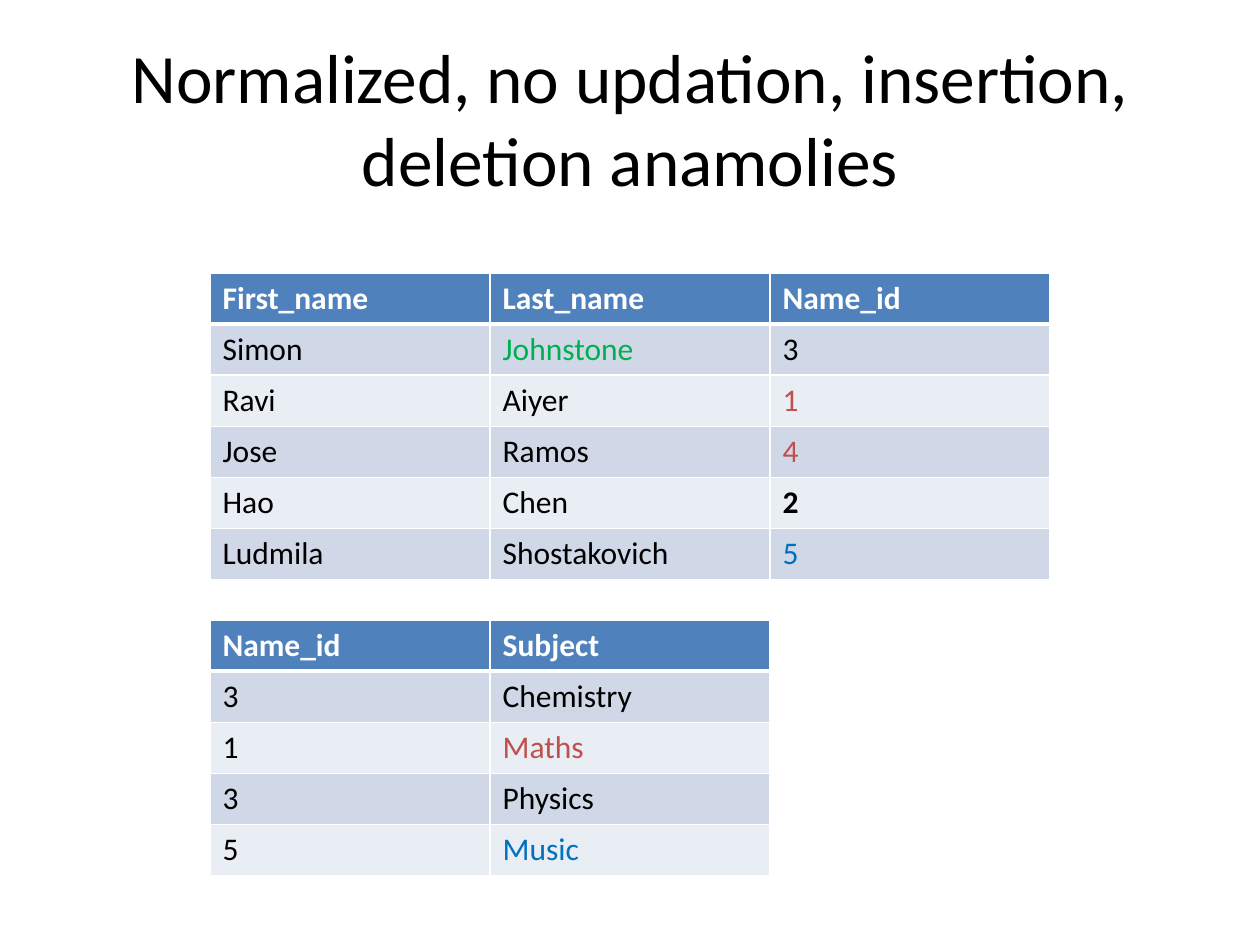
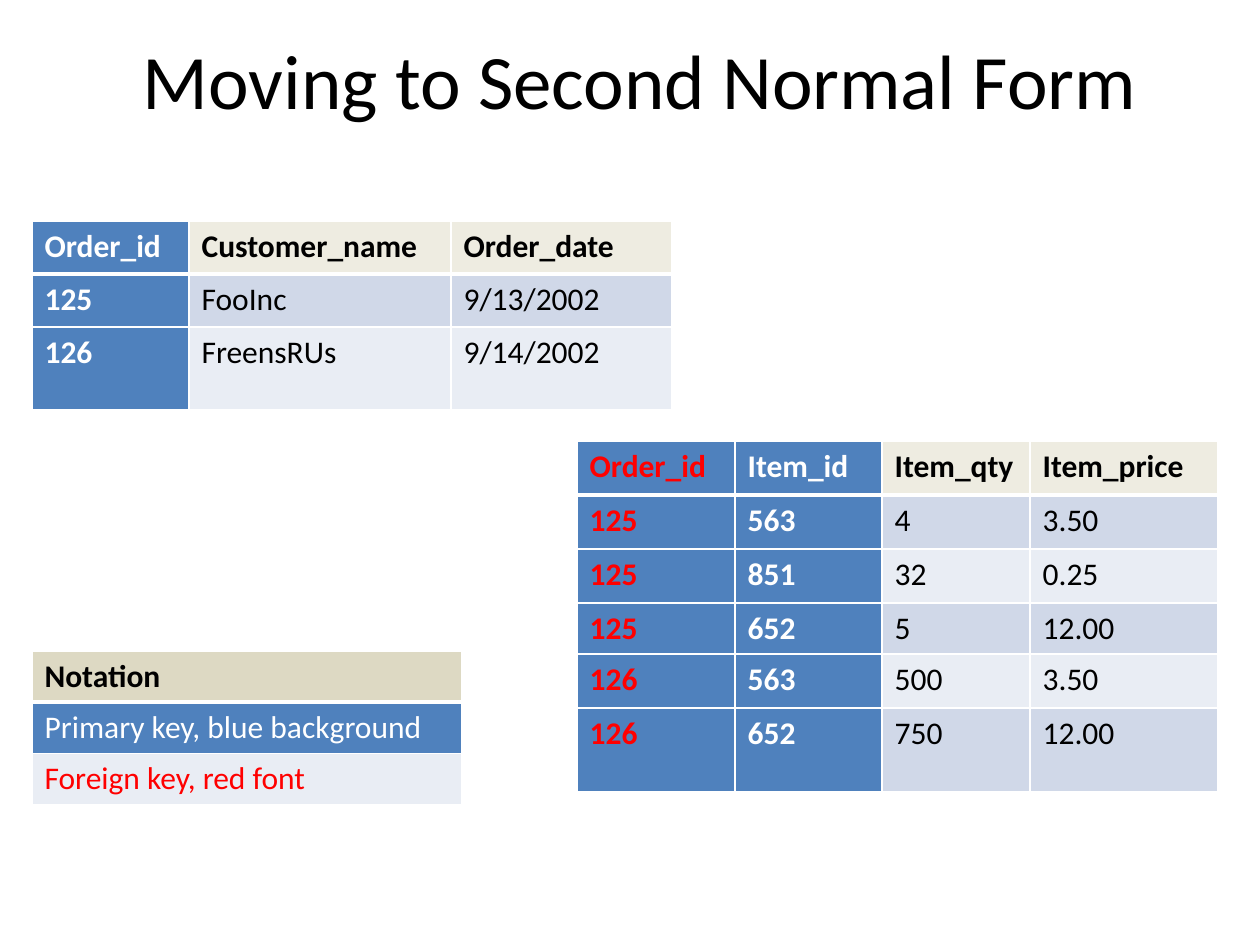
"""Build two slides on database normalization with styled tables."""
from lxml import etree
from pptx import Presentation
from pptx import util as u
from pptx.dml.color import RGBColor
from pptx.enum import text
from pptx.oxml import ns

PX = 914400 // 126 + 1
FONT = "Calibri"
BLACK, WHITE, RED = "000000", "FFFFFF", "FF0000"
BLUE, ROSE, GREEN, SKY = "4F81BD", "C0504D", "00B050", "0070C0"
BANDS = ["E9EDF4", "D0D8E8"]
CREAM, TAN = "EEECE1", "DDD9C3"


def write(frame, words, size, ink, bold=False):
    run = frame.paragraphs[0].add_run()
    run.text = words
    run.font.name = FONT
    run.font.size = u.Pt(size)
    run.font.bold = bold
    run.font.color.rgb = RGBColor.from_string(ink)


def add_grid(slide, left, top, widths, heights, rows, header=BLUE, keys=0,
             inks={}, blue_cells=(), bold_cells=()):
    grid = slide.shapes.add_table(
        len(rows), len(widths), left * PX, top * PX,
        sum(widths) * PX, sum(heights) * PX).table
    for column, width in zip(grid.columns, widths):
        column.width = width * PX
    for r, values in enumerate(rows):
        grid.rows[r].height = heights[r] * PX
        for c, value in enumerate(values):
            cell = grid.cell(r, c)
            is_key = c < keys
            fill = header if r == 0 else BANDS[r % 2]
            if is_key or (r, c) in blue_cells:
                fill = BLUE
            cell.fill.solid()
            cell.fill.fore_color.rgb = RGBColor.from_string(fill)
            ink = inks.get((r, c), WHITE if fill == BLUE else BLACK)
            bold = r == 0 or is_key or (r, c) in bold_cells
            write(cell.text_frame, value, 18, ink, bold)
            properties = cell._tc.get_or_add_tcPr()
            edges = {"L": 1, "R": 1, "T": 3 if r == 1 else 1, "B": 3 if r == 0 else 1}
            for place, (side, points) in enumerate(edges.items()):
                line = etree.Element(ns.qn("a:ln" + side), w=str(u.Pt(points)))
                solid = etree.SubElement(line, ns.qn("a:solidFill"))
                etree.SubElement(solid, ns.qn("a:srgbClr"), val=WHITE)
                properties.insert(place, line)


deck = Presentation()
deck.slide_width, deck.slide_height = u.Inches(10), u.Inches(7.5)
slides = []
for words, size, left, top in [
    ("Normalized, no updation, insertion, deletion anamolies", 39.6, 63, 38),
    ("Moving to Second Normal Form", 44, 73, 0),
]:
    slide = deck.slides.add_slide(deck.slide_layouts[5])
    title = slide.shapes.title
    title.left, title.top, title.width, title.height = (
        length * PX for length in (left, top, 1134, 158))
    title.text_frame.auto_size = text.MSO_AUTO_SIZE.NONE
    title.text_frame.vertical_anchor = text.MSO_ANCHOR.MIDDLE
    title.text_frame.paragraphs[0].alignment = text.PP_ALIGN.CENTER
    write(title.text_frame, words, size, BLACK)
    slides.append(slide)
normalized, second_form = slides

people = [
    ["First_name", "Last_name", "Name_id"],
    ["Simon", "Johnstone", "3"],
    ["Ravi", "Aiyer", "1"],
    ["Jose", "Ramos", "4"],
    ["Hao", "Chen", "2"],
    ["Ludmila", "Shostakovich", "5"],
]
add_grid(normalized, 210, 273, [280] * 3, [51] * 6, people,
         inks={(1, 1): GREEN, (2, 2): ROSE, (3, 2): ROSE, (5, 2): SKY},
         bold_cells=[(4, 2)])

subjects = [
    ["Name_id", "Subject"],
    ["3", "Chemistry"],
    ["1", "Maths"],
    ["3", "Physics"],
    ["5", "Music"],
]
add_grid(normalized, 210, 620, [280] * 2, [51] * 5, subjects,
         inks={(2, 1): ROSE, (4, 1): SKY})

orders = [
    ["Order_id", "Customer_name", "Order_date"],
    ["125", "FooInc", "9/13/2002"],
    ["126", "FreensRUs", "9/14/2002"],
]
add_grid(second_form, 32, 221, [157, 262, 221], [53, 53, 83], orders,
         header=CREAM, keys=1)

items = [
    ["Order_id", "Item_id", "Item_qty", "Item_price"],
    ["125", "563", "4", "3.50"],
    ["125", "851", "32", "0.25"],
    ["125", "652", "5", "12.00"],
    ["126", "563", "500", "3.50"],
    ["126", "652", "750", "12.00"],
]
add_grid(second_form, 577, 441, [158, 147, 148, 188], [54, 54, 54, 47, 54, 84],
         items, header=CREAM, keys=2, inks={(r, 0): RED for r in range(len(items))})

notation = [["Notation"], ["Primary key, blue background"], ["Foreign key, red font"]]
add_grid(second_form, 32, 651, [430], [51] * 3, notation,
         header=TAN, inks={(2, 0): RED}, blue_cells=[(1, 0)])

deck.save("out.pptx")
